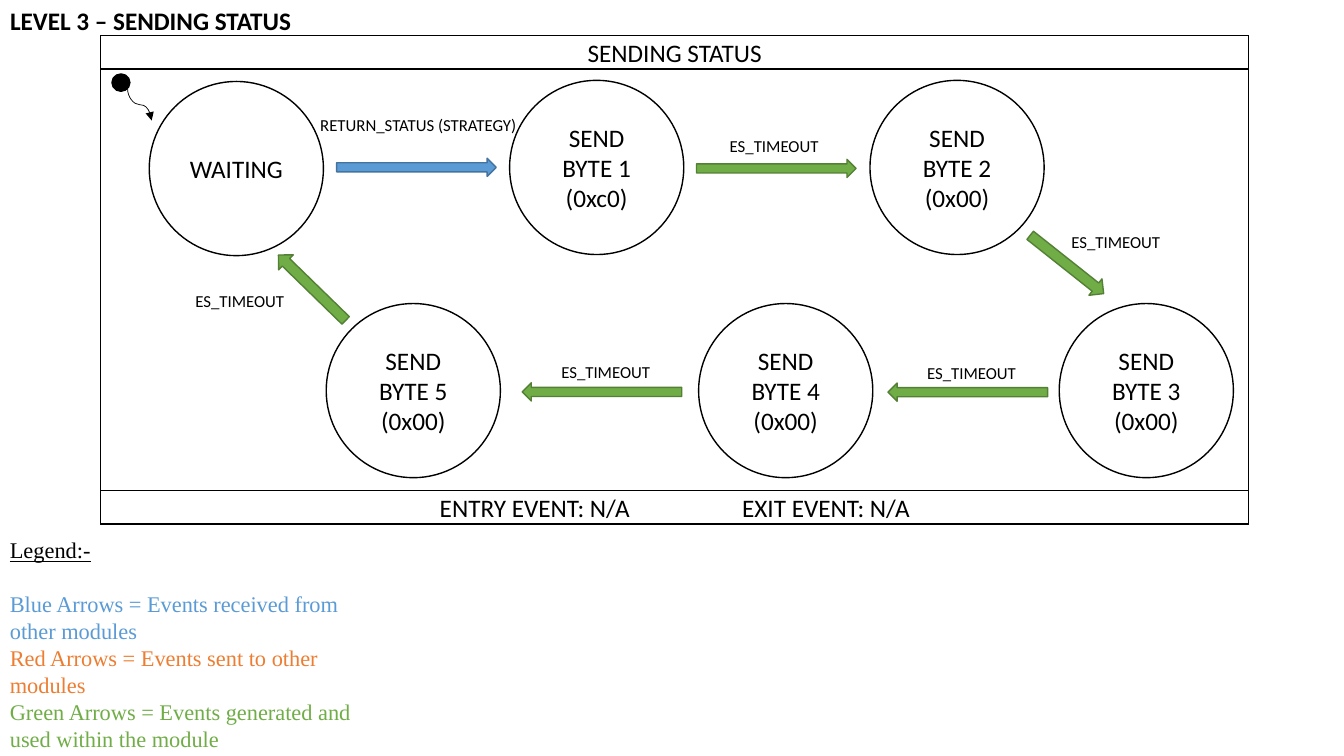
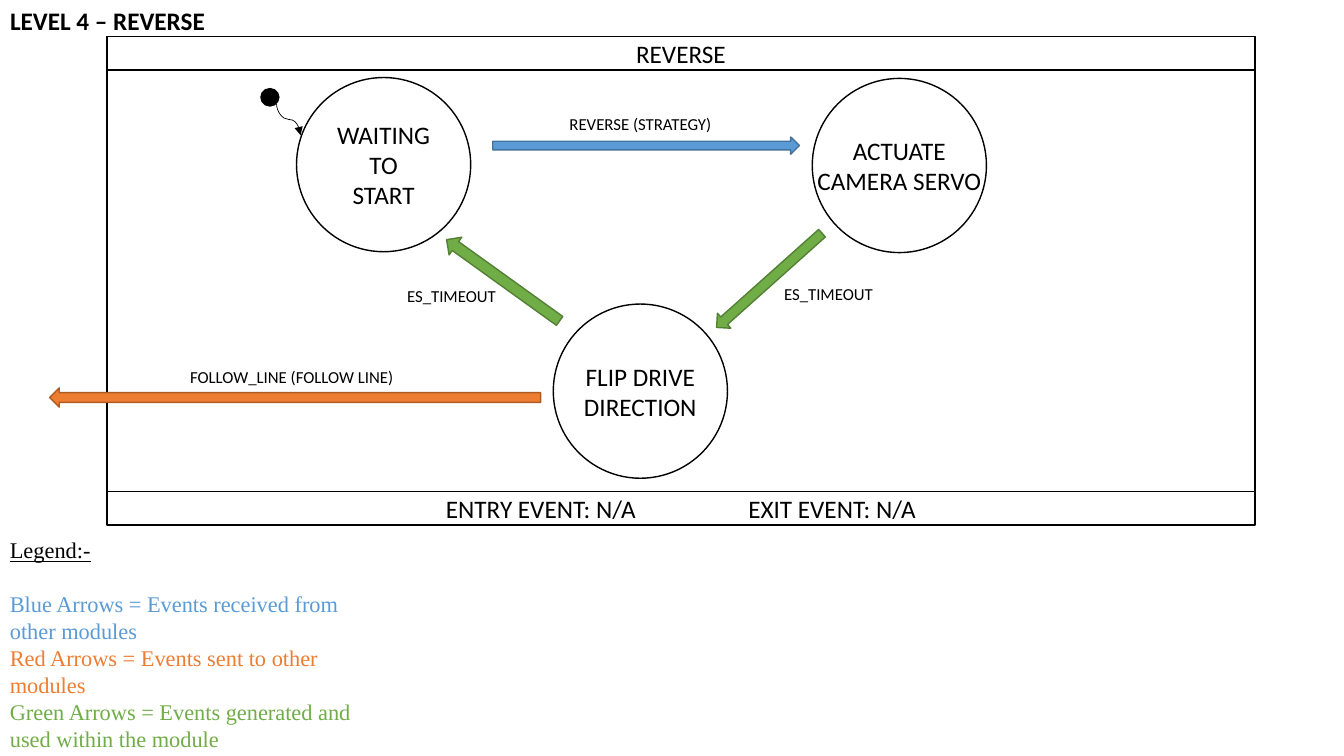
from lxml import etree
from pptx import Presentation
from pptx.dml.color import RGBColor
from pptx.enum import shapes, text
from pptx.oxml import ns
from pptx.util import Pt

COLORS = {
    "ink": "000000", "paper": "FFFFFF",
    "received": "5B9BD5", "sent": "ED7D31", "internal": "70AD47",
    "received edge": "43739E", "sent edge": "AF5C24", "internal edge": "538035",
}
LEGEND = [
    ("Blue Arrows = Events received from other modules", "received"),
    ("Red Arrows = Events sent to other modules", "sent"),
    ("Green Arrows = Events generated and used within the module", "internal"),
]
FRAME_WIDTH, FRAME_HEIGHT, BAND_HEIGHT = 820, 349, 24
STATE_SIZE = 124.4
LEGEND_LINE = 19.3
TAB_WIDTH = Pt(72)
SHAPE = shapes.MSO_SHAPE


def rgb(name):
    return RGBColor.from_string(COLORS[name])


def write(frame, words, size=18, font="Calibri", color="ink", bold=False,
          underline=False, align="CENTER", anchor="MIDDLE", wrap=True,
          line=None, before=None, add=False):
    """Write one paragraph into a text frame and format it."""
    frame.word_wrap = wrap
    frame.auto_size = text.MSO_AUTO_SIZE.NONE
    frame.vertical_anchor = text.MSO_ANCHOR[anchor]
    paragraph = frame.add_paragraph() if add else frame.paragraphs[0]
    paragraph.text = words
    paragraph.alignment = text.PP_ALIGN[align]
    if line:
        paragraph.line_spacing = Pt(line)
    if before:
        paragraph.space_before = Pt(before)
    for run in paragraph.runs:
        run.font.size, run.font.name = Pt(size), font
        run.font.bold, run.font.underline = bold, underline
        run.font.color.rgb = rgb(color)
    return paragraph


def place(slide, kind, left, top, width, height, fill="paper", edge="ink"):
    shape = slide.shapes.add_shape(kind, Pt(left), Pt(top), Pt(width), Pt(height))
    shape.shadow.inherit = False
    if fill:
        shape.fill.solid()
        shape.fill.fore_color.rgb = rgb(fill)
    else:
        shape.fill.background()
    shape.line.color.rgb = rgb(edge)
    shape.line.width = Pt(1)
    return shape


def add_title(slide, words):
    title = slide.shapes.title
    title.left, title.top, title.width, title.height = Pt(0), Pt(0), Pt(300), Pt(29)
    write(title.text_frame, words, bold=True, align="LEFT", anchor="TOP", wrap=False)


def add_legend(slide):
    legend = slide.shapes.add_textbox(Pt(0), Pt(379.4), Pt(282), Pt(160)).text_frame
    style = dict(size=16, font="Times New Roman", align="LEFT", anchor="TOP",
                 line=LEGEND_LINE)
    write(legend, "Legend:-", underline=True, **style)
    for index, (meaning, color) in enumerate(LEGEND):
        write(legend, meaning, color=color, add=True,
              before=0 if index else LEGEND_LINE, **style)


def add_machine(slide, name, left, top):
    """Outer frame with a name band above and an event band below."""
    place(slide, SHAPE.RECTANGLE, left, top, FRAME_WIDTH, FRAME_HEIGHT, fill=None)
    bands = [(name, top),
             ("ENTRY EVENT: N/A\t\tEXIT EVENT: N/A", top + FRAME_HEIGHT - BAND_HEIGHT)]
    for words, band_top in bands:
        band = place(slide, SHAPE.RECTANGLE, left, band_top, FRAME_WIDTH, BAND_HEIGHT)
        paragraph = write(band.text_frame, words)
        paragraph._p.get_or_add_pPr().set("defTabSz", str(TAB_WIDTH))


def add_state(slide, words, left, top):
    state = place(slide, SHAPE.OVAL, left, top, STATE_SIZE, STATE_SIZE)
    write(state.text_frame, words, wrap=False)


def add_event(slide, left, top, length, thickness, kind="internal", turn=0):
    arrow = place(slide, SHAPE.RIGHT_ARROW, left, top, length, thickness,
                  kind, kind + " edge")
    arrow.rotation = turn


def add_label(slide, words, left, top, width=103.6):
    label = slide.shapes.add_textbox(Pt(left), Pt(top), Pt(width), Pt(21.6))
    write(label.text_frame, words, size=12, anchor="TOP")


def add_start(slide, left, top):
    """Start dot and the curved arrow to the first state."""
    place(slide, SHAPE.OVAL, left, top, 12.8, 12.4, fill="ink")
    curve_left, curve_top, length, rise = left + 8.4, top + 13.4, 22.6, 17.2
    curve = slide.shapes.add_connector(
        shapes.MSO_CONNECTOR.CURVE, Pt(curve_left + length), Pt(curve_top),
        Pt(curve_left), Pt(curve_top + rise))
    curve.line.color.rgb = rgb("ink")
    curve.line.width = Pt(0.5)
    properties = curve._element.spPr
    # A three-quarter turn makes the curve leave the dot downwards
    properties.find(ns.qn("a:xfrm")).set("rot", str(270 * 60000))
    etree.SubElement(properties.find(ns.qn("a:ln")), ns.qn("a:tailEnd"), type="triangle")
    etree.SubElement(properties, ns.qn("a:effectLst"))


def add_level(deck, title, name, frame, start, states, events, labels):
    slide = deck.slides.add_slide(deck.slide_layouts[5])
    add_title(slide, title)
    add_legend(slide)
    add_machine(slide, name, *frame)
    add_start(slide, *start)
    for state in states:
        add_state(slide, *state)
    for event in events:
        add_event(slide, *event)
    for label in labels:
        add_label(slide, *label)


def main():
    deck = Presentation()
    deck.slide_width, deck.slide_height = Pt(960), Pt(540)

    # Sending status: six states in a loop
    upper, lower = 57.4, 216.8
    bytes_sent = [("c0", 364, upper), ("00", 621.4, upper), ("00", 756.6, lower),
                  ("00", 499, lower), ("00", 233, lower)]
    states = [("WAITING", 106.6, 58.2)]
    states += [(f"SEND\vBYTE {number}\v(0x{value})", left, top)
               for number, (value, left, top) in enumerate(bytes_sent, 1)]
    timeouts = [(501.2, 93.6), (745.2, 162), (642.2, 255.6), (380.9, 254.9), (119.5, 204.5)]
    add_level(
        deck, "LEVEL 3 – SENDING STATUS", "SENDING STATUS", (72, 25.4), (80, 52.8), states,
        events=[(240.5, 113, 114, 13, "received"),
                (497.5, 113.8, 114, 13),
                (728.6, 181.4, 67, 15, "internal", 38.4),
                (634.3, 273.6, 114, 13, "internal", 180),
                (373, 273.4, 114, 13, "internal", 180),
                (189.4, 198, 67, 15, "internal", 224.2)],
        labels=[("RETURN_STATUS (STRATEGY)", 213.8, 78.5, 170)]
        + [("ES_TIMEOUT", *spot) for spot in timeouts])

    # Reverse: three states and one event sent out
    timeouts = [(270.7, 200.9), (540, 199.4)]
    add_level(
        deck, "LEVEL 4 – REVERSE", "REVERSE", (76.4, 25.9), (186.4, 63.3),
        states=[("WAITING\vTO\vSTART", 211.8, 55.4),
                ("ACTUATE\vCAMERA SERVO", 580.2, 56),
                ("FLIP DRIVE\vDIRECTION", 395.2, 217.2)],
        events=[(352, 97.8, 219, 12.4, "received"),
                (499, 193, 101, 14.4, "internal", 138.2),
                (309.7, 192.4, 99.4, 15.6, "internal", 215.7),
                (35.4, 277, 350.8, 13.8, "sent", 180)],
        labels=[("REVERSE (STRATEGY)", 347, 77.8, 221),
                ("FOLLOW_LINE (FOLLOW LINE)", 127.4, 258.5, 162)]
        + [("ES_TIMEOUT", *spot) for spot in timeouts])

    deck.save("out.pptx")


if __name__ == "__main__":
    main()
